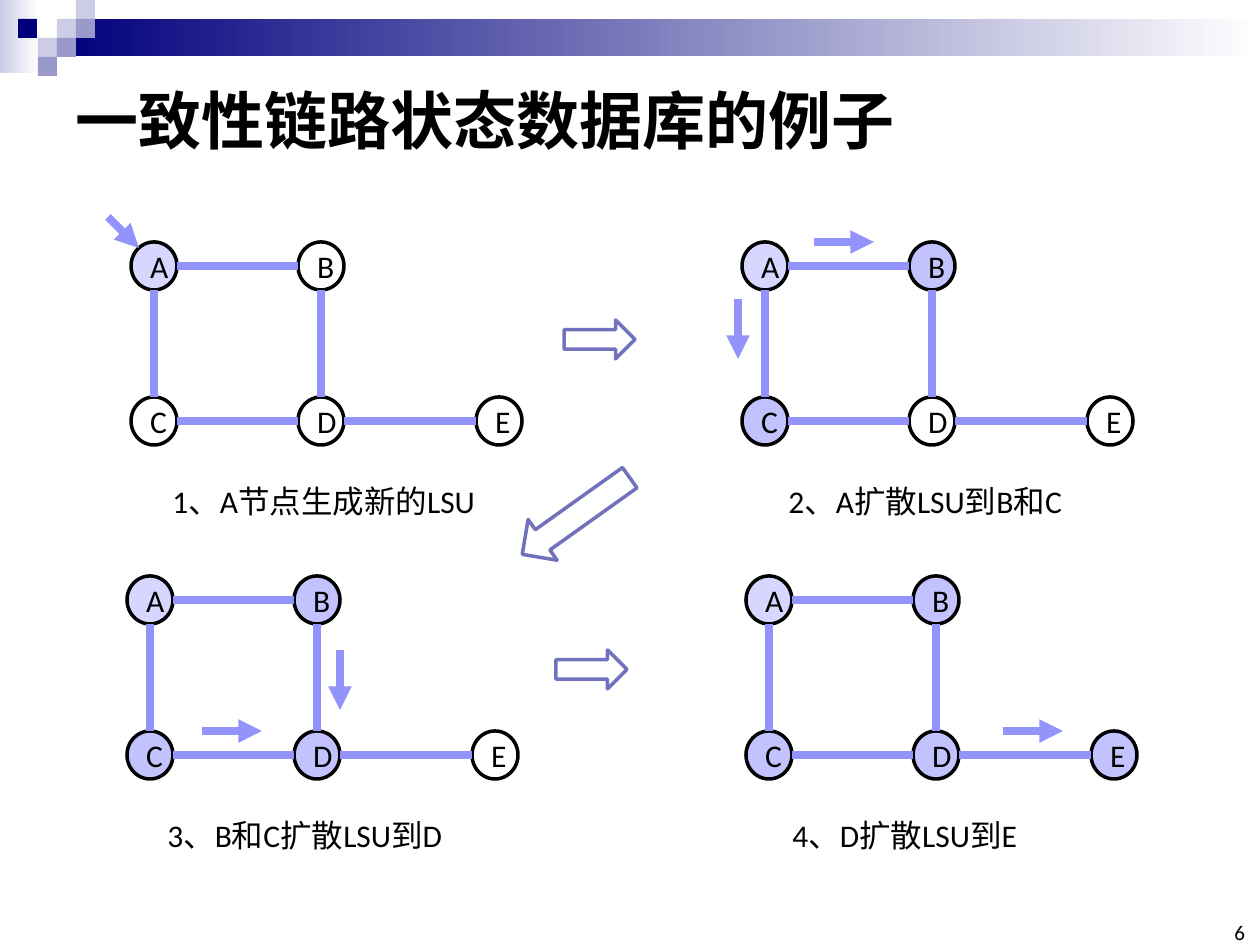
from pptx import Presentation
from pptx.dml.color import RGBColor
from pptx.enum.shapes import MSO_CONNECTOR, MSO_SHAPE
from pptx.enum.text import MSO_ANCHOR, PP_ALIGN
from pptx.oxml.ns import qn
from pptx.util import Emu, Pt
from lxml.etree import SubElement

SCALE = 914400 / 126
BLACK, NAVY, MID, PALE, WHITE = "000000", "00007D", "9999CC", "CCCCE6", "FFFFFF"
ORIGIN, REACHED, LINK, STEP = "D6D6FF", "C2C2FF", "9393FC", "7171BD"
NODE_WIDTH, NODE_HEIGHT = 46, 48
NODES = {"A": (0, 0), "B": (167, 0), "C": (0, 155), "D": (167, 155), "E": (345, 155)}
EDGES = ("AB", "AC", "CD", "BD", "DE")


def px(*lengths):
    return [Emu(round(length * SCALE)) for length in lengths]


def color(value):
    return RGBColor.from_string(value)


def write(shape, text, size, bold=False, align=PP_ALIGN.LEFT, anchor=MSO_ANCHOR.TOP):
    frame = shape.text_frame
    frame.word_wrap = True
    frame.vertical_anchor = anchor
    paragraph = frame.paragraphs[0]
    paragraph.text = text
    paragraph.alignment = align
    font = paragraph.runs[0].font
    font.name, font.size, font.bold = "Calibri", Pt(size), bold
    font.color.rgb = color(BLACK)


def add_text(slide, box, text, size, **style):
    shape = slide.shapes.add_textbox(*px(*box))
    write(shape, text, size, **style)
    return shape


def add_shape(slide, kind, box, fill=None, line=None, rotation=0):
    shape = slide.shapes.add_shape(kind, *px(*box))
    shape.shadow.inherit = False
    shape.rotation = rotation
    if fill:
        shape.fill.solid()
        shape.fill.fore_color.rgb = color(fill)
    else:
        shape.fill.background()
    if line:
        shape.line.color.rgb = color(line)
        shape.line.width = Pt(2)
    else:
        shape.line.fill.background()
    return shape


def add_link(slide, start, end, arrow=False):
    link = slide.shapes.add_connector(MSO_CONNECTOR.STRAIGHT, *px(*start, *end))
    link.line.color.rgb = color(LINK)
    link.line.width = Pt(4.5)
    if arrow:
        SubElement(link.line._get_or_add_ln(), qn("a:tailEnd"), type="triangle")
    SubElement(link._element.spPr, qn("a:effectLst"))


def add_header(slide, left, top):
    for x, y, width, height, start in ((0, 0, 39, 73, PALE), (57, 19, 1203, 37, NAVY)):
        band = add_shape(slide, MSO_SHAPE.RECTANGLE, (left + x, top + y, width, height))
        band.fill.gradient()
        band.fill.gradient_angle = 0
        for stop, value in zip(band.fill.gradient_stops, (start, WHITE)):
            stop.color.rgb = color(value)
    squares = ((57, 19, PALE), (76, 0, PALE), (76, 19, MID), (38, 38, PALE),
               (18, 19, NAVY), (57, 38, MID), (38, 57, MID))
    for x, y, fill in squares:
        add_shape(slide, MSO_SHAPE.RECTANGLE, (left + x, top + y, 19, 19), fill)


def add_network(slide, left, top, reached, arrows, caption, indent, width):
    for name, (x, y) in NODES.items():
        fill = ORIGIN if name == "A" else REACHED if name in reached else None
        box = (left + x, top + y, NODE_WIDTH, NODE_HEIGHT)
        node = add_shape(slide, MSO_SHAPE.OVAL, box, fill, BLACK)
        write(node, name, 18, align=PP_ALIGN.CENTER, anchor=MSO_ANCHOR.MIDDLE)
    for first, second in EDGES:
        (x1, y1), (x2, y2) = NODES[first], NODES[second]
        if y1 == y2:
            x1, y1, y2 = x1 + NODE_WIDTH, y1 + NODE_HEIGHT / 2, y2 + NODE_HEIGHT / 2
        else:
            x1, x2, y1 = x1 + NODE_WIDTH / 2, x2 + NODE_WIDTH / 2, y1 + NODE_HEIGHT
        add_link(slide, (left + x1, top + y1), (left + x2, top + y2))
    for x1, y1, x2, y2 in arrows:
        add_link(slide, (left + x1, top + y1), (left + x2, top + y2), arrow=True)
    add_text(slide, (left + indent, top + 234, width, 50), caption, 18)


def add_step_arrows(slide, left, top):
    for x, y, width, height, rotation in ((54, 0, 71, 39, 0), (46, 330, 71, 39, 0),
                                          (0, 171, 132, 50, 144.5)):
        add_shape(slide, MSO_SHAPE.RIGHT_ARROW, (left + x, top + y, width, height),
                  line=STEP, rotation=rotation)


presentation = Presentation()
presentation.slide_width, presentation.slide_height = px(1260, 945)
slide = presentation.slides.add_slide(presentation.slide_layouts[6])

add_header(slide, 0, 0)
add_text(slide, (63, 63, 1134, 112), "一致性链路状态数据库的例子", 36,
         bold=True, anchor=MSO_ANCHOR.MIDDLE)
page_number = add_text(slide, (1216, 924, 29, 21), "6", 12,
                       align=PP_ALIGN.RIGHT, anchor=MSO_ANCHOR.BOTTOM)
frame = page_number.text_frame
frame.margin_left = frame.margin_right = frame.margin_top = frame.margin_bottom = 0

networks = (
    (131, 242, "", [(-23, -25, 8, 6)], "1、A节点生成新的LSU", 29, 331),
    (742, 242, "BC", [(72, 0, 132, 0), (-4, 57, -4, 117)], "2、A扩散LSU到B和C", 34, 301),
    (127, 576, "BCD", [(75, 155, 135, 155), (213, 74, 213, 134)],
     "3、B和C扩散LSU到D", 28, 302),
    (746, 576, "BCDE", [(257, 155, 317, 155)], "4、D扩散LSU到E", 34, 252),
)
for network in networks:
    add_network(slide, *network)
add_step_arrows(slide, 510, 320)

presentation.save("out.pptx")
